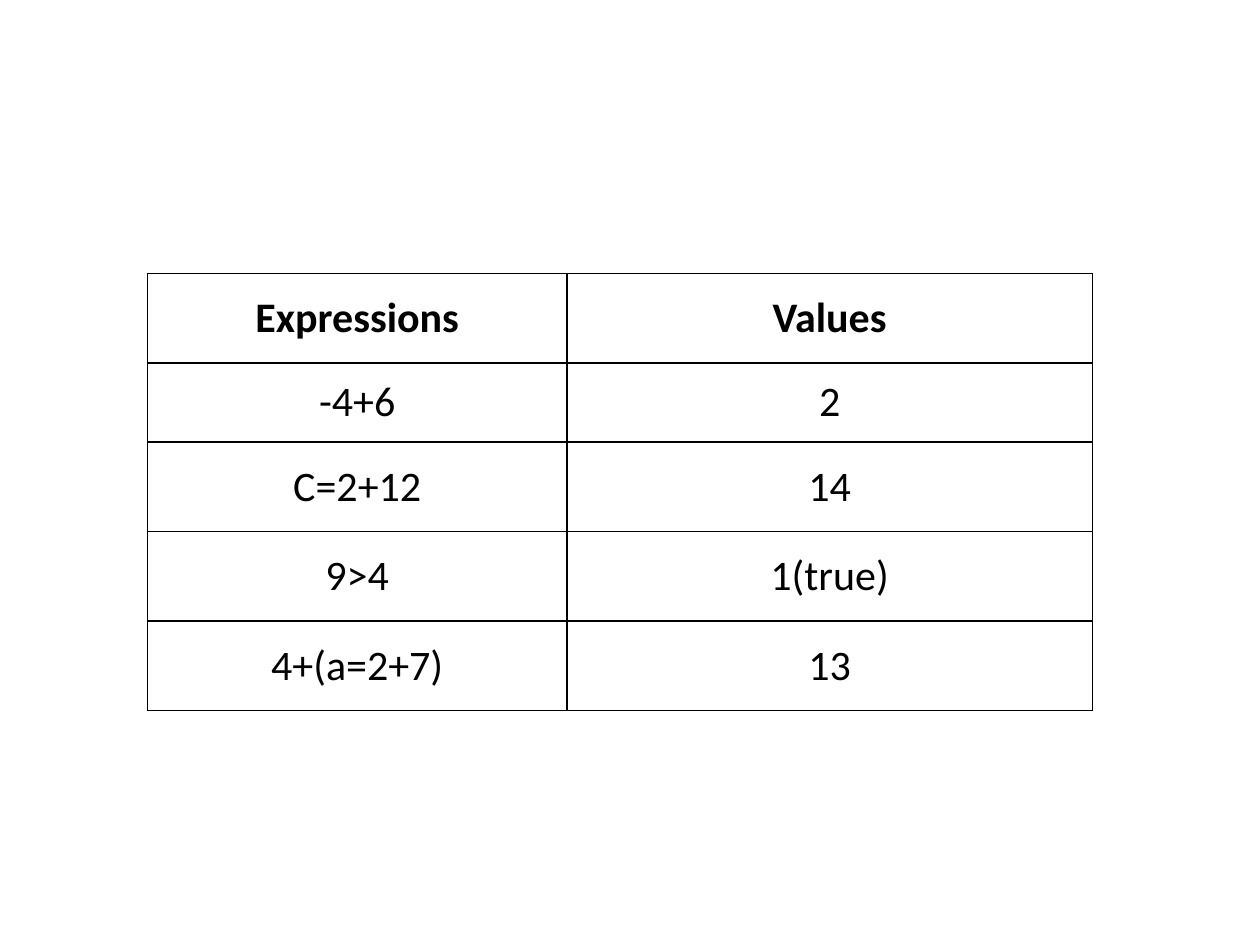
from lxml import etree
from pptx import Presentation
from pptx.dml.color import RGBColor
from pptx.enum.text import MSO_ANCHOR, PP_ALIGN
from pptx.oxml.ns import qn
from pptx.util import Inches, Pt

COLORS = {"text": "000000", "border": "000000"}
ROWS = [
    ("Expressions", "Values"),
    ("-4+6", "2"),
    ("C=2+12", "14"),
    ("9>4", "1(true)"),
    ("4+(a=2+7)", "13"),
]
COL_WIDTHS = [3.33, 4.17]
ROW_HEIGHTS = [0.71, 0.63, 0.71, 0.71, 0.71]


def add_borders(cell):
    tc_pr = cell._tc.get_or_add_tcPr()
    for i, side in enumerate(("a:lnL", "a:lnR", "a:lnT", "a:lnB")):
        ln = etree.Element(qn(side), w=str(Pt(1)))
        fill = etree.SubElement(ln, qn("a:solidFill"))
        etree.SubElement(fill, qn("a:srgbClr"), val=COLORS["border"])
        tc_pr.insert(i, ln)


prs = Presentation()
prs.slide_width, prs.slide_height = Inches(10), Inches(7.5)
s = prs.slides.add_slide(prs.slide_layouts[6])

table = s.shapes.add_table(
    len(ROWS), len(COL_WIDTHS), Inches(1.17), Inches(2.17),
    Inches(sum(COL_WIDTHS)), Inches(sum(ROW_HEIGHTS)),
).table
table.horz_banding = False
for col, width in zip(table.columns, COL_WIDTHS):
    col.width = Inches(width)
for row, height in zip(table.rows, ROW_HEIGHTS):
    row.height = Inches(height)

for i, texts in enumerate(ROWS):
    for j, text in enumerate(texts):
        cell = table.cell(i, j)
        cell.text = text
        cell.fill.background()
        cell.vertical_anchor = MSO_ANCHOR.MIDDLE
        cell.margin_left = cell.margin_right = Inches(0.06)
        cell.margin_top = cell.margin_bottom = Inches(0.06)
        add_borders(cell)
        p = cell.text_frame.paragraphs[0]
        p.alignment = PP_ALIGN.CENTER
        p.font.name = "Calibri"
        p.font.size = Pt(24)
        p.font.bold = i == 0
        p.font.color.rgb = RGBColor.from_string(COLORS["text"])

prs.save("out.pptx")
